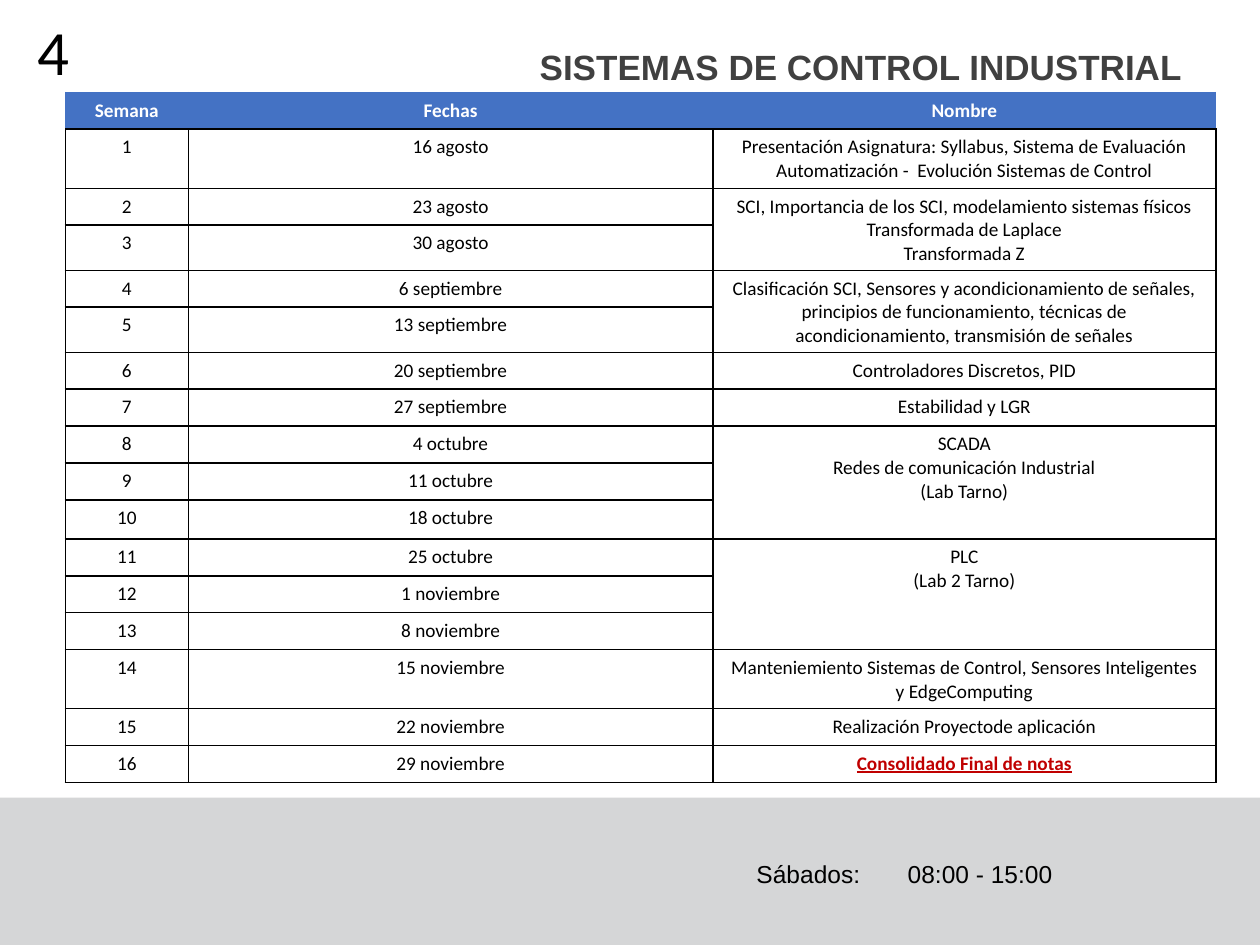
"""Builds the weekly schedule slide of an industrial control course."""
from lxml import etree
from pptx import Presentation
from pptx.dml.color import RGBColor
from pptx.enum.shapes import MSO_SHAPE
from pptx.enum.text import MSO_ANCHOR, MSO_AUTO_SIZE, PP_ALIGN
from pptx.oxml.ns import qn
from pptx.util import Pt

RECTANGLE = MSO_SHAPE.RECTANGLE
TOP, BOTTOM = MSO_ANCHOR.TOP, MSO_ANCHOR.BOTTOM
NO_AUTOSIZE = MSO_AUTO_SIZE.NONE
LEFT, CENTER, RIGHT = PP_ALIGN.LEFT, PP_ALIGN.CENTER, PP_ALIGN.RIGHT

BLACK, WHITE, BLUE, RED = "000000", "FFFFFF", "4472C4", "C00000"
GRAY, DARK = "D5D6D7", "404040"

HEADINGS = ["Semana", "Fechas", "Nombre"]
COLUMN_WIDTHS = [70.2, 299.8, 287.4]
ROW_HEIGHT = 21.1
TALL_ROWS = {1: 33.8, 3: 25.7, 5: 25.7, 10: 22.3, 14: 33.8}
DATES = [
    "16 agosto", "23 agosto", "30 agosto", "6 septiembre", "13 septiembre",
    "20 septiembre", "27 septiembre", "4 octubre", "11 octubre", "18 octubre",
    "25 octubre", "1 noviembre", "8 noviembre", "15 noviembre", "22 noviembre",
    "29 noviembre",
]
FINAL_TOPIC = "Consolidado Final de notas"
TOPICS = [
    (1, "Presentación Asignatura: Syllabus, Sistema de Evaluación\n"
        "Automatización -  Evolución Sistemas de Control"),
    (2, "SCI, Importancia de los SCI, modelamiento sistemas físicos\n"
        "Transformada de Laplace\nTransformada Z"),
    (2, "Clasificación SCI, Sensores y acondicionamiento de señales, "
        "principios de funcionamiento, técnicas de acondicionamiento, "
        "transmisión de señales"),
    (1, "Controladores Discretos, PID"),
    (1, "Estabilidad y LGR"),
    (3, "SCADA\nRedes de comunicación Industrial\n(Lab Tarno)"),
    (3, "PLC\n(Lab 2 Tarno)"),
    (1, "Manteniemiento Sistemas de Control, Sensores Inteligentes "
        "y EdgeComputing"),
    (1, "Realización Proyectode aplicación"),
    (1, FINAL_TOPIC),
]


def color(value):
    """Turn a hex string into a colour."""
    return RGBColor.from_string(value)


def place(shape, left, top, width, height):
    """Move and size a shape in points."""
    shape.left, shape.top = Pt(left), Pt(top)
    shape.width, shape.height = Pt(width), Pt(height)


def write(frame, text, font="Calibri", size=11, ink=BLACK, bold=False,
          underline=False, align=CENTER, line_spacing=1.0):
    """Write one paragraph per line of text and return the last one."""
    for index, line in enumerate(text.split("\n")):
        para = frame.add_paragraph() if index else frame.paragraphs[0]
        para.alignment, para.line_spacing = align, line_spacing
        para.space_before = Pt(0)
        span = para.add_run()
        span.text = line
        span.font.name, span.font.size = font, Pt(size)
        span.font.bold, span.font.underline = bold, underline
        span.font.color.rgb = color(ink)
    return para


def fill_placeholder(box, text, anchor, **style):
    """Write a placeholder text at a fixed size."""
    frame = box.text_frame
    frame.auto_size, frame.vertical_anchor = NO_AUTOSIZE, anchor
    write(frame, text, **style)


def add_band(page):
    """Add the gray band at the foot of the page."""
    band = page.shapes.add_shape(RECTANGLE, Pt(0), Pt(455.8), Pt(720), Pt(84.2))
    band.shadow.inherit = False
    band.fill.solid()
    band.fill.fore_color.rgb = color(GRAY)
    band.line.fill.background()


def add_timetable(page):
    """Add the class hours, with a tab stop between day and time."""
    box = page.shapes.add_textbox(Pt(357.8), Pt(487.4), Pt(316.1), Pt(24.5))
    frame = box.text_frame
    frame.word_wrap = True
    frame.margin_left = Pt(74.5)
    para = write(frame, "Sábados:\t08:00 - 15:00", font="Arial", size=14, align=LEFT)
    properties = para._p.get_or_add_pPr()
    stops = etree.SubElement(properties, qn("a:tabLst"))
    etree.SubElement(stops, qn("a:tab"), pos=str(Pt(86.4)), algn="l")


def set_borders(cell, **sides):
    """Draw each cell side, named L, R, T or B, from its colour and width."""
    properties = cell._tc.get_or_add_tcPr()
    for side, (ink, width) in sides.items():
        line = etree.SubElement(properties, qn(f"a:ln{side}"), w=str(Pt(width)))
        solid = etree.SubElement(line, qn("a:solidFill"))
        etree.SubElement(solid, qn("a:srgbClr"), val=ink)


def format_cell(cell, is_heading):
    """Give a cell its borders and fill."""
    black, blue = (BLACK, 1), (BLUE, 0.5)
    edge = blue if is_heading else black
    set_borders(cell, L=edge, R=edge, T=edge, B=black)
    cell.fill.solid()
    cell.fill.fore_color.rgb = color(BLUE if is_heading else WHITE)


def add_schedule(page):
    """Add the table of weeks, dates and topics."""
    heights = [TALL_ROWS.get(row, ROW_HEIGHT) for row in range(len(DATES) + 1)]
    graphic = page.shapes.add_table(len(heights), len(HEADINGS), Pt(37.4), Pt(52.7),
                                    Pt(sum(COLUMN_WIDTHS)), Pt(sum(heights)))
    table = graphic.table
    table.horz_banding = False
    for column, width in zip(table.columns, COLUMN_WIDTHS):
        column.width = Pt(width)
    for index, (row, height) in enumerate(zip(table.rows, heights)):
        row.height = Pt(height)
        for cell in row.cells:
            format_cell(cell, index == 0)
    for column, heading in enumerate(HEADINGS):
        write(table.cell(0, column).text_frame, heading, ink=WHITE, bold=True)
    for week, date in enumerate(DATES, 1):
        write(table.cell(week, 0).text_frame, str(week))
        write(table.cell(week, 1).text_frame, date)
    week = 1
    for weeks, topic in TOPICS:
        cell = table.cell(week, 2)
        if weeks > 1:
            cell.merge(table.cell(week + weeks - 1, 2))
        final = topic == FINAL_TOPIC
        write(cell.text_frame, topic, ink=RED if final else BLACK,
              bold=final, underline=final)
        week += weeks


def main():
    """Build and save the deck."""
    deck = Presentation()
    deck.slide_width, deck.slide_height = Pt(720), Pt(540)
    page = deck.slides.add_slide(deck.slide_layouts[0])
    number, heading = page.placeholders
    add_band(page)
    place(number, 0, -2.2, 61.2, 56.9)
    fill_placeholder(number, "4", BOTTOM, size=36, line_spacing=0.9)
    place(heading, 178.6, 22.4, 504, 39.6)
    fill_placeholder(heading, "SISTEMAS DE CONTROL INDUSTRIAL", TOP, font="Arial",
                     size=20, ink=DARK, bold=True, align=RIGHT)
    add_timetable(page)
    add_schedule(page)
    deck.save("out.pptx")


if __name__ == "__main__":
    main()
